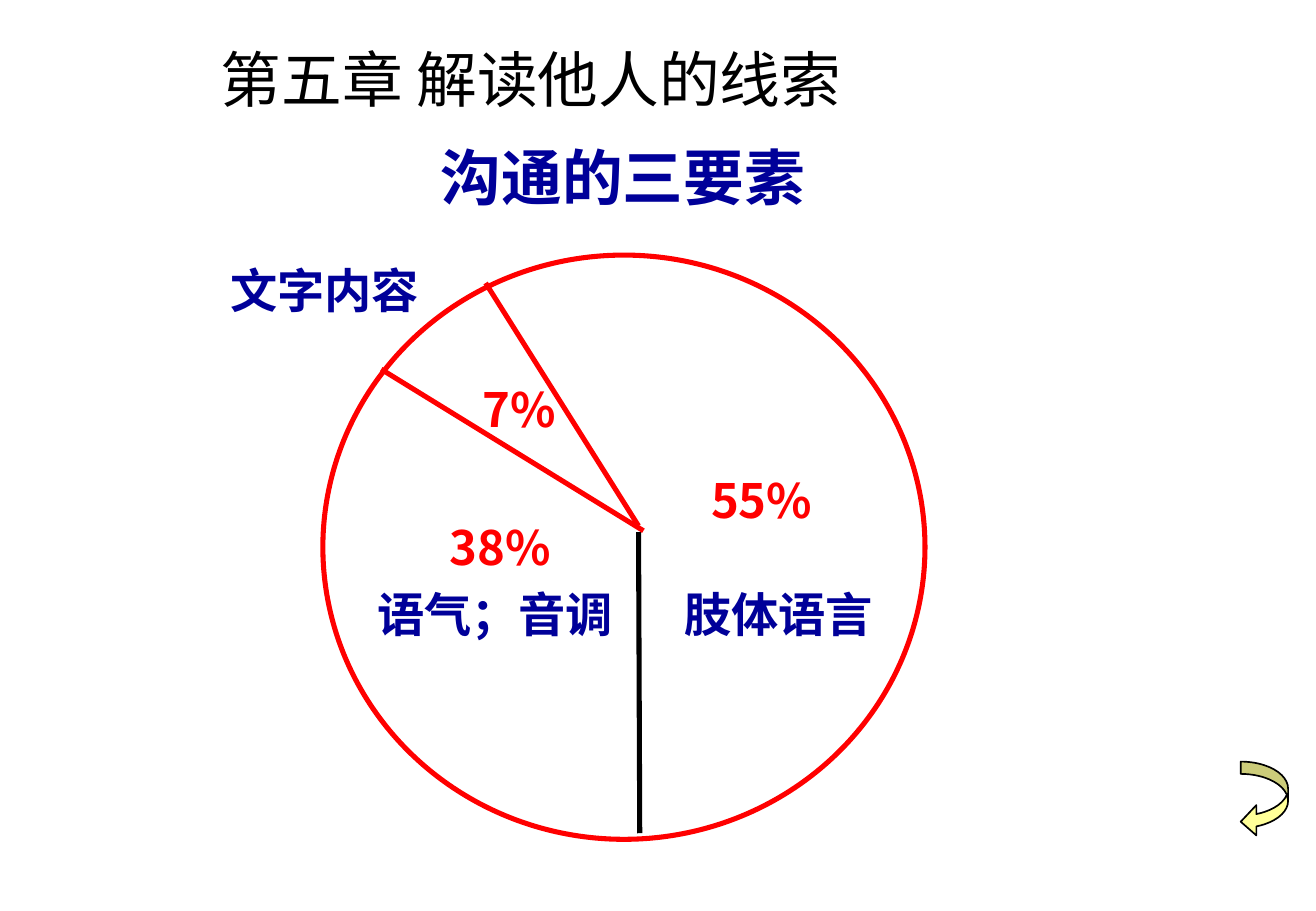
from lxml import etree
from pptx import Presentation
from pptx.dml.color import RGBColor
from pptx.enum.shapes import MSO_CONNECTOR, MSO_SHAPE
from pptx.enum.text import MSO_ANCHOR, MSO_AUTO_SIZE, PP_ALIGN
from pptx.oxml.ns import qn
from pptx.util import Inches, Pt

SANS, SERIF = "Noto Sans CJK SC", "Times New Roman"
NAVY, RED, BLACK, YELLOW = "000099", "FF0000", "000000", "FFFF99"
LEFT, CENTER = PP_ALIGN.LEFT, PP_ALIGN.CENTER

TITLE = "沟通的三要素"
TITLE_BOX = (3.53, 0.91, 3.88, 1.08)
CHAPTER = "第五章 解读他人的线索"
CHAPTER_BOX = (1.72, 0.21, 6.08, 0.87)
CIRCLE_BOX = (2.66, 2.1, 4.96, 4.81)
RETURN_ARROW_BOX = (10.22, 6.27, 0.39, 0.62)
RETURN_ARROW_PROPORTIONS = (0.26, 0.64, 0.33)

# start x, start y, end x, end y, colour
DIVIDERS = [
    (5.26, 4.38, 5.27, 6.86, BLACK),
    (5.26, 4.33, 4.0, 2.33, RED),
    (5.3, 4.37, 3.14, 3.04, RED),
]

# text, left, top, width, alignment
ELEMENT_NAMES = [
    ("肢体语言", 5.42, 4.77, 1.99, CENTER),
    ("语气；音调", 2.86, 4.77, 2.44, CENTER),
    ("文字内容", 1.8, 2.1, 2.25, LEFT),
]
SHARES = [
    ("7%", 3.88, 3.08, 0.81, LEFT),
    ("38%", 2.9, 4.22, 2.44, CENTER),
    ("55%", 5.76, 3.83, 1.11, LEFT),
]
LABEL_HEIGHT = 0.57


def rgb(hex_colour):
    return RGBColor.from_string(hex_colour)


def inches(values):
    return [Inches(value) for value in values]


def write(shape, text, size, colour, font_name=SANS, bold=True,
          align=LEFT, anchor=MSO_ANCHOR.TOP):
    frame = shape.text_frame
    frame.word_wrap = True
    frame.auto_size = MSO_AUTO_SIZE.NONE
    frame.vertical_anchor = anchor
    paragraph = frame.paragraphs[0]
    paragraph.text = text
    paragraph.alignment = align
    font = paragraph.font
    font.size, font.bold, font.name = Pt(size), bold, font_name
    font.color.rgb = rgb(colour)
    defaults = paragraph._p.pPr.find(qn("a:defRPr"))
    etree.SubElement(defaults, qn("a:ea")).set("typeface", SANS)


def outline(shape, colour, width):
    shape.line.color.rgb = rgb(colour)
    shape.line.width = Pt(width)


presentation = Presentation()
presentation.slide_width = Inches(10.84)
presentation.slide_height = Inches(7.5)
slide = presentation.slides.add_slide(presentation.slide_layouts[5])
shapes = slide.shapes

title = shapes.title
title.left, title.top, title.width, title.height = inches(TITLE_BOX)
write(title, TITLE, 36, NAVY, anchor=MSO_ANCHOR.MIDDLE)

circle = shapes.add_shape(MSO_SHAPE.OVAL, *inches(CIRCLE_BOX))
circle.shadow.inherit = False
circle.fill.background()
outline(circle, RED, 3)

for *ends, colour in DIVIDERS:
    divider = shapes.add_connector(MSO_CONNECTOR.STRAIGHT, *inches(ends))
    outline(divider, colour, 3)
    etree.SubElement(divider._element.spPr, qn("a:effectLst"))

for labels, colour, font_name in ((ELEMENT_NAMES, NAVY, SERIF),
                                  (SHARES, RED, SANS)):
    for text, left, top, width, align in labels:
        label = shapes.add_textbox(*inches((left, top, width, LABEL_HEIGHT)))
        write(label, text, 28, colour, font_name, align=align)

chapter = shapes.add_textbox(*inches(CHAPTER_BOX))
write(chapter, CHAPTER, 36, BLACK, bold=False, anchor=MSO_ANCHOR.MIDDLE)

return_arrow = shapes.add_shape(MSO_SHAPE.CURVED_LEFT_ARROW,
                                *inches(RETURN_ARROW_BOX))
return_arrow.shadow.inherit = False
for index, proportion in enumerate(RETURN_ARROW_PROPORTIONS):
    return_arrow.adjustments[index] = proportion
return_arrow.fill.solid()
return_arrow.fill.fore_color.rgb = rgb(YELLOW)
outline(return_arrow, BLACK, 1)

presentation.save("out.pptx")
